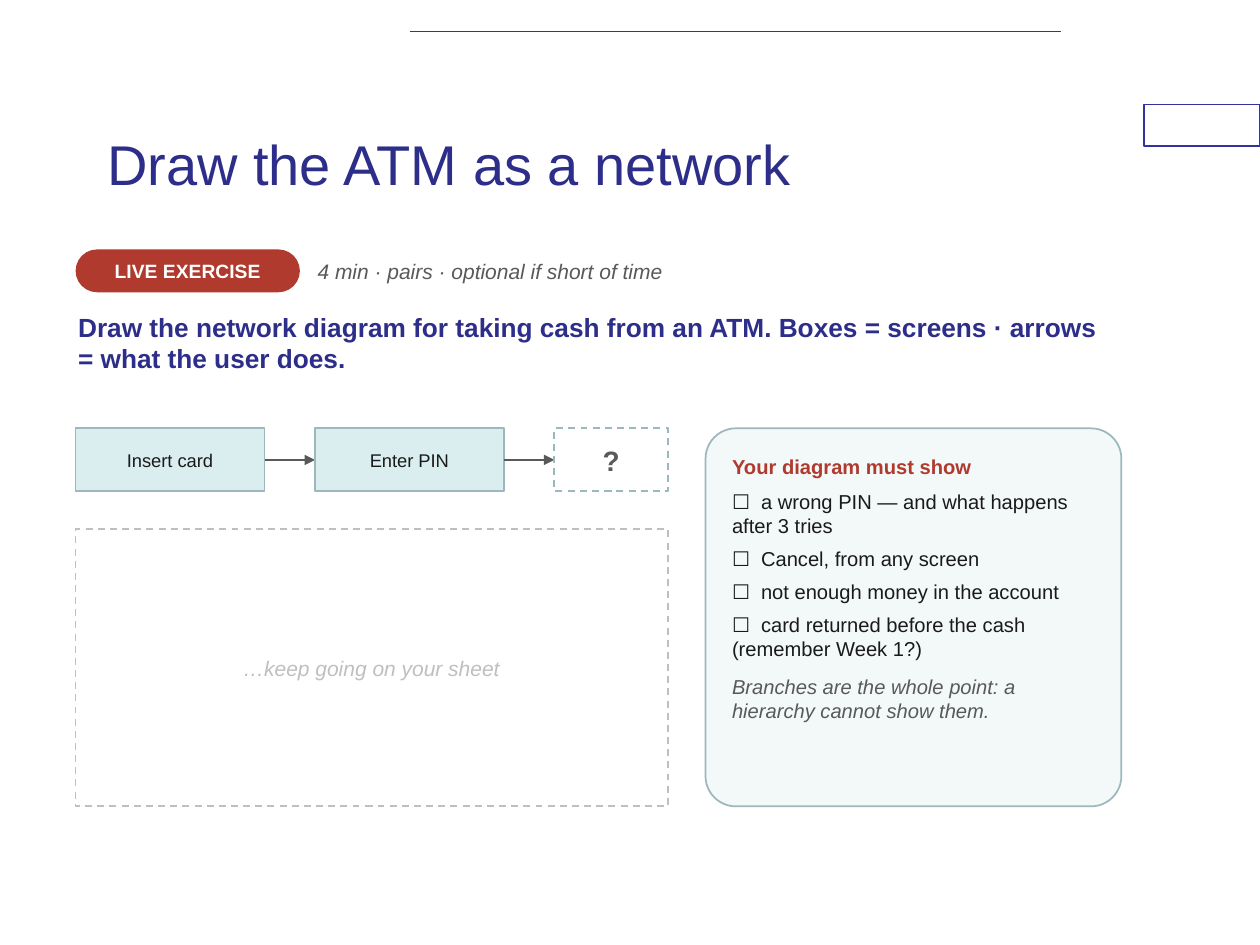
from pptx import Presentation
from pptx.dml.color import RGBColor
from pptx.enum.dml import MSO_LINE
from pptx.enum.shapes import MSO_CONNECTOR, MSO_SHAPE
from pptx.enum.text import MSO_ANCHOR, PP_ALIGN
from pptx.oxml.ns import qn
from pptx.util import Emu, Pt
from lxml.etree import SubElement

EMU_PER_PX = 9144  # 100 px to the inch
INDIGO, NAVY, RED = "333399", "2D2D8A", "B03A2E"
INK, GREY, PALE_GREY = "1A1A1A", "595959", "BFBFBF"
TEAL_LINE, TEAL_FILL, PANEL_FILL, WHITE = "9DB8BC", "DAEDEF", "F3F8F9", "FFFFFF"

CHECKS = [
    "a wrong PIN — and what happens after 3 tries",
    "Cancel, from any screen",
    "not enough money in the account",
    "card returned before the cash (remember Week 1?)",
]


def px(length):
    return Emu(length * EMU_PER_PX)


def rgb(value):
    return RGBColor.from_string(value)


def style_text(para, size, color, bold=False, italic=False):
    for span in para.runs:
        font = span.font
        font.name, font.size = "Arial", Pt(size)
        font.bold, font.italic = bold, italic
        font.color.rgb = rgb(color)


def set_frame(frame, inset, anchor):
    frame.word_wrap = True
    frame.vertical_anchor = anchor
    frame.margin_left = frame.margin_right = px(inset)
    frame.margin_top = frame.margin_bottom = px(inset)


def add_title(page, text):
    title = page.shapes.title
    title.left, title.top, title.width, title.height = map(px, (75, 67, 750, 125))
    title.text_frame.text = text
    title.text_frame.vertical_anchor = MSO_ANCHOR.MIDDLE
    para = title.text_frame.paragraphs[0]
    para.alignment = PP_ALIGN.LEFT
    style_text(para, 32, NAVY)


def add_box(page, place, fill=None, line=None, width=1, dashed=False, radius=None):
    """Add a rectangle, rounded when a radius ratio is given."""
    kind = MSO_SHAPE.RECTANGLE if radius is None else MSO_SHAPE.ROUNDED_RECTANGLE
    box = page.shapes.add_shape(kind, *map(px, place))
    box.shadow.inherit = False
    if radius is not None:
        box.adjustments[0] = radius
    if fill:
        box.fill.solid()
        box.fill.fore_color.rgb = rgb(fill)
    else:
        box.fill.background()
    if line:
        box.line.color.rgb = rgb(line)
        box.line.width = Pt(width)
        if dashed:
            box.line.dash_style = MSO_LINE.DASH
    else:
        box.line.fill.background()
    return box


def add_label(box, text, size, color, inset=4, **style):
    """Centre one line of text in a box."""
    set_frame(box.text_frame, inset, MSO_ANCHOR.MIDDLE)
    box.text_frame.text = text
    para = box.text_frame.paragraphs[0]
    para.alignment = PP_ALIGN.CENTER
    style_text(para, size, color, **style)


def add_text(page, place, text, size, color, anchor=MSO_ANCHOR.TOP, **style):
    box = page.shapes.add_textbox(*map(px, place))
    set_frame(box.text_frame, 2, anchor)
    box.text_frame.text = text
    style_text(box.text_frame.paragraphs[0], size, color, **style)


def add_line(page, start, end, y, color, width, arrow=False):
    """Add a horizontal line, with an arrowhead at its end if asked."""
    line = page.shapes.add_connector(
        MSO_CONNECTOR.STRAIGHT, px(start), px(y), px(end), px(y))
    line.line.color.rgb = rgb(color)
    line.line.width = Pt(width)
    if arrow:
        SubElement(line.line._get_or_add_ln(), qn("a:tailEnd"), type="triangle")
    SubElement(line._element.spPr, qn("a:effectLst"))


def add_flow(page):
    left, top, height, gap = 60, 340, 50, 40
    steps = [("Insert card", 150), ("Enter PIN", 150), ("?", 90)]
    for index, (text, width) in enumerate(steps):
        if index:
            add_line(page, left - gap, left, top + height // 2, GREY, 1.5, arrow=True)
        place = (left, top, width, height)
        if text == "?":
            box = add_box(page, place, line=TEAL_LINE, dashed=True)
            add_label(box, text, 16, GREY, bold=True)
        else:
            box = add_box(page, place, TEAL_FILL, TEAL_LINE)
            add_label(box, text, 10.5, INK)
        left += width + gap


def add_checklist(page):
    box = add_box(page, (560, 340, 330, 300), PANEL_FILL, TEAL_LINE, radius=0.08)
    frame = box.text_frame
    set_frame(frame, 14, MSO_ANCHOR.TOP)
    lines = [("Your diagram must show", 0, RED, {"bold": True})]
    lines += [(f"☐\t{check}", 5 if index else 6, INK, {})
              for index, check in enumerate(CHECKS)]
    lines.append(("Branches are the whole point: a hierarchy cannot show them.",
                  8, GREY, {"italic": True}))
    for index, (text, space, color, style) in enumerate(lines):
        para = frame.add_paragraph() if index else frame.paragraphs[0]
        para.text = text
        para.alignment = PP_ALIGN.LEFT
        if index:
            para.space_before = Pt(space)
        if "\t" in text:
            tabs = SubElement(para._p.get_or_add_pPr(), qn("a:tabLst"))
            SubElement(tabs, qn("a:tab"), pos=str(px(23)), algn="l")
        style_text(para, 11.5, color, **style)


def main():
    deck = Presentation()
    deck.slide_width, deck.slide_height = px(1000), px(750)
    page = deck.slides.add_slide(deck.slide_layouts[5])

    add_box(page, (908, 83, 92, 33), WHITE, INDIGO, 0.75)
    add_line(page, 325, 842, 25, INDIGO, 1)
    add_title(page, "Draw the ATM as a network")

    badge = add_box(page, (60, 198, 178, 34), RED, radius=0.5)
    add_label(badge, "LIVE EXERCISE", 11, WHITE, inset=3, bold=True)
    add_text(page, (250, 198, 639, 34), "4 min · pairs · optional if short of time",
             12, GREY, MSO_ANCHOR.MIDDLE, italic=True)
    add_text(page, (60, 245, 830, 60),
             "Draw the network diagram for taking cash from an ATM. "
             "Boxes = screens · arrows = what the user does.", 15, NAVY, bold=True)

    add_flow(page)
    sheet = add_box(page, (60, 420, 470, 220), line=PALE_GREY, dashed=True)
    add_label(sheet, "…keep going on your sheet", 12, PALE_GREY, italic=True)
    add_checklist(page)
    deck.save("out.pptx")


if __name__ == "__main__":
    main()
